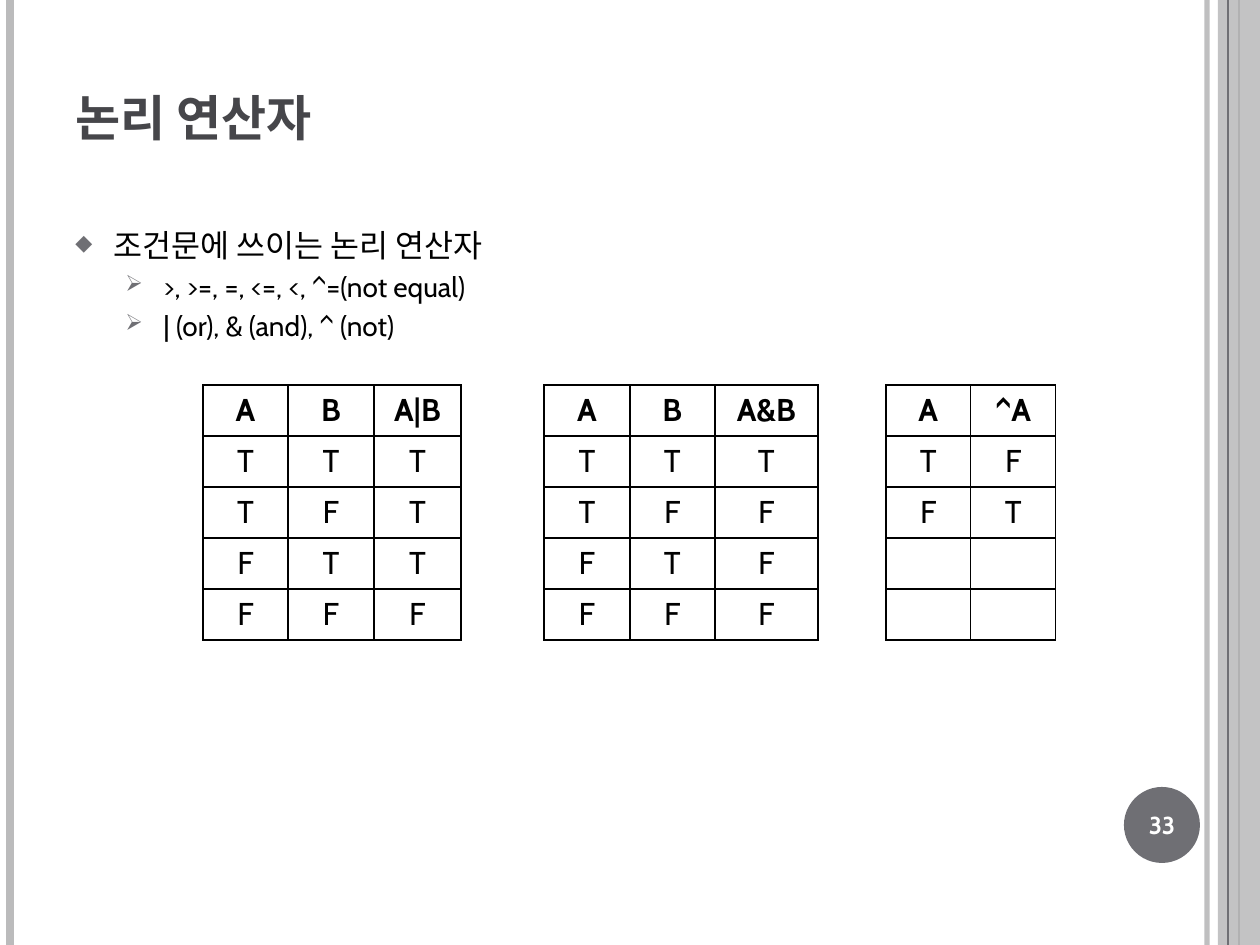
import pptx
import pptx.util
import pptx.oxml
import pptx.oxml.ns
import pptx.dml.color
import pptx.enum.shapes
import pptx.enum.text

SCALE = 914400 / 126  # EMU per px
FONT = "Cabin"
COLORS = {
    "black": "000000",
    "white": "FFFFFF",
    "title": "46464A",
    "dark": "6F6F74",
    "light": "BBBBBC",
}
MIDDLE = pptx.enum.text.MSO_ANCHOR.MIDDLE
CENTER = pptx.enum.text.PP_ALIGN.CENTER


def px(n):
    return round(n * SCALE)


def rgb(name):
    return pptx.dml.color.RGBColor.from_string(COLORS[name])


def add_xml(parent, xml):
    """Append an element written with the a: prefix."""
    ns = pptx.oxml.ns.nsdecls("a")
    tag, rest = xml[:-2].partition(" ")[::2] if xml.endswith("/>") and xml.count("<") == 1 else (None, None)
    if tag:
        xml = f"{tag} {ns} {rest}/>"
    else:
        head, tail = xml.split(">", 1)
        xml = f"{head} {ns}>{tail}"
    parent.append(pptx.oxml.parse_xml(xml))


def set_alpha(fill, percent):
    color = fill._xPr.find(".//" + pptx.oxml.ns.qn("a:srgbClr"))
    add_xml(color, f'<a:alpha val="{percent * 1000}"/>')


def style(p, size, color, bold=False, align=None):
    p.font.name, p.font.size, p.font.bold = FONT, pptx.util.Pt(size), bold
    p.font.color.rgb = rgb(color)
    p.alignment = align


def add_text(s, box):
    tf = s.shapes.add_textbox(*map(px, box)).text_frame
    tf.word_wrap = True
    return tf


def add_solid(s, kind, box, color):
    sp = s.shapes.add_shape(kind, *map(px, box))
    sp.shadow.inherit = False
    sp.fill.solid()
    sp.fill.fore_color.rgb = rgb(color)
    sp.line.fill.background()
    return sp


def add_rule(s, x, height, color, width, alpha=None):
    line = s.shapes.add_connector(
        pptx.enum.shapes.MSO_CONNECTOR.STRAIGHT, px(x), 0, px(x), px(height))
    line.line.color.rgb = rgb(color)
    line.line.width = pptx.util.Pt(width)
    if alpha:
        set_alpha(line.line.fill, alpha)
    add_xml(line._element.spPr, "<a:effectLst />")


def add_frame(s, width, height):
    """Vertical stripes along both edges of the slide."""
    add_rule(s, width - 53, height, "light", 3, 93)
    add_rule(s, 10, height, "light", 4.5)
    add_rule(s, width - 21, height, "dark", 1.5)
    band = add_solid(s, pptx.enum.shapes.MSO_SHAPE.RECTANGLE,
                     (width - 42, 0, 42, height), "light")
    set_alpha(band.fill, 87)
    add_rule(s, width - 32, height, "dark", 0.75)


def add_title(s, box, text):
    title = s.shapes.title
    title.left, title.top, title.width, title.height = map(px, box)
    tf = title.text_frame
    tf.text, tf.vertical_anchor = text, MIDDLE
    style(tf.paragraphs[0], 28, "title", True, pptx.enum.text.PP_ALIGN.LEFT)


def add_bullets(s, box, items):
    """Items are (level, text) pairs."""
    # size, left indent, space before, bullet, bullet size
    levels = [(18, 38, 6, "◆", 70), (16, 88, 3, "➢", 80)]
    tf = add_text(s, box)
    for i, (level, text) in enumerate(items):
        size, indent, before, bullet, bullet_size = levels[level]
        p = tf.add_paragraph() if i else tf.paragraphs[0]
        p.text, p.level = text, level
        p.space_before = pptx.util.Pt(before)
        pPr = p._p.get_or_add_pPr()
        pPr.set("marL", str(px(indent)))
        pPr.set("indent", str(px(-38)))
        add_xml(pPr, f'<a:buClr><a:srgbClr val="{COLORS["dark"]}"/></a:buClr>')
        add_xml(pPr, f'<a:buSzPct val="{bullet_size * 1000}"/>')
        add_xml(pPr, f'<a:buChar char="{bullet}"/>')
        style(p, size, "black")


def set_borders(cell, sides):
    tcPr = cell._tc.get_or_add_tcPr()
    for side in "LRTB":
        if side in sides:
            add_xml(tcPr, f'<a:ln{side} w="12700"><a:solidFill>'
                          f'<a:srgbClr val="{COLORS["black"]}"/></a:solidFill></a:ln{side}>')
        else:
            add_xml(tcPr, f'<a:ln{side} w="0"><a:noFill/></a:ln{side}>')


def add_truth_tables(s, box, widths, rows):
    """One grid; a None in a row is the gap between two truth tables."""
    table = s.shapes.add_table(len(rows), len(widths), *map(px, box)).table
    table.first_row = table.horz_banding = False
    for column, width in zip(table.columns, widths):
        column.width = px(width)
    for r, values in enumerate(rows):
        table.rows[r].height = px(box[3] / len(rows))
        for c, value in enumerate(values):
            cell = table.cell(r, c)
            set_borders(cell, "LR" if value is None else "LRTB")
            cell.fill.background()
            cell.vertical_anchor = MIDDLE
            if value:
                cell.text = value
                style(cell.text_frame.paragraphs[0], 18, "black", r == 0, CENTER)


def add_page_number(s, box, number):
    left, top, width, height = box
    add_solid(s, pptx.enum.shapes.MSO_SHAPE.OVAL, box, "dark")
    tf = add_text(s, (left - 4, top + 2, width + 8, height - 4))
    tf.text, tf.vertical_anchor = number, MIDDLE
    style(tf.paragraphs[0], 14, "white", True, CENTER)


def main():
    width, height = 1260, 945
    prs = pptx.Presentation()
    prs.slide_width, prs.slide_height = px(width), px(height)
    s = prs.slides.add_slide(prs.slide_layouts[5])

    add_frame(s, width, height)
    add_title(s, (63, 38, 1029, 158), "논리 연산자")
    add_bullets(s, (63, 220, 1029, 672), [
        (0, "조건문에 쓰이는 논리 연산자"),
        (1, ">, >=, =, <=, <, ^=(not equal)"),
        (1, "| (or), & (and), ^ (not)"),
    ])

    # Columns: A, B, or | gap | A, B, and | gap | A, not
    rows = [["A", "B", "A|B", None, "A", "B", "A&B", None, "A", "^A"]]
    negations = ["TF", "FT", ("", ""), ("", "")]
    for (a, b), negation in zip(["TT", "TF", "FT", "FF"], negations):
        either = "T" if "T" in (a, b) else "F"
        both = "F" if "F" in (a, b) else "T"
        rows.append([a, b, either, None, a, b, both, None, *negation])
    add_truth_tables(s, (203, 385, 853, 255),
                     [85, 86, 87, 83, 86, 85, 103, 68, 85, 85], rows)

    add_page_number(s, (1124, 787, 76, 76), "33")
    prs.save("out.pptx")


if __name__ == "__main__":
    main()
